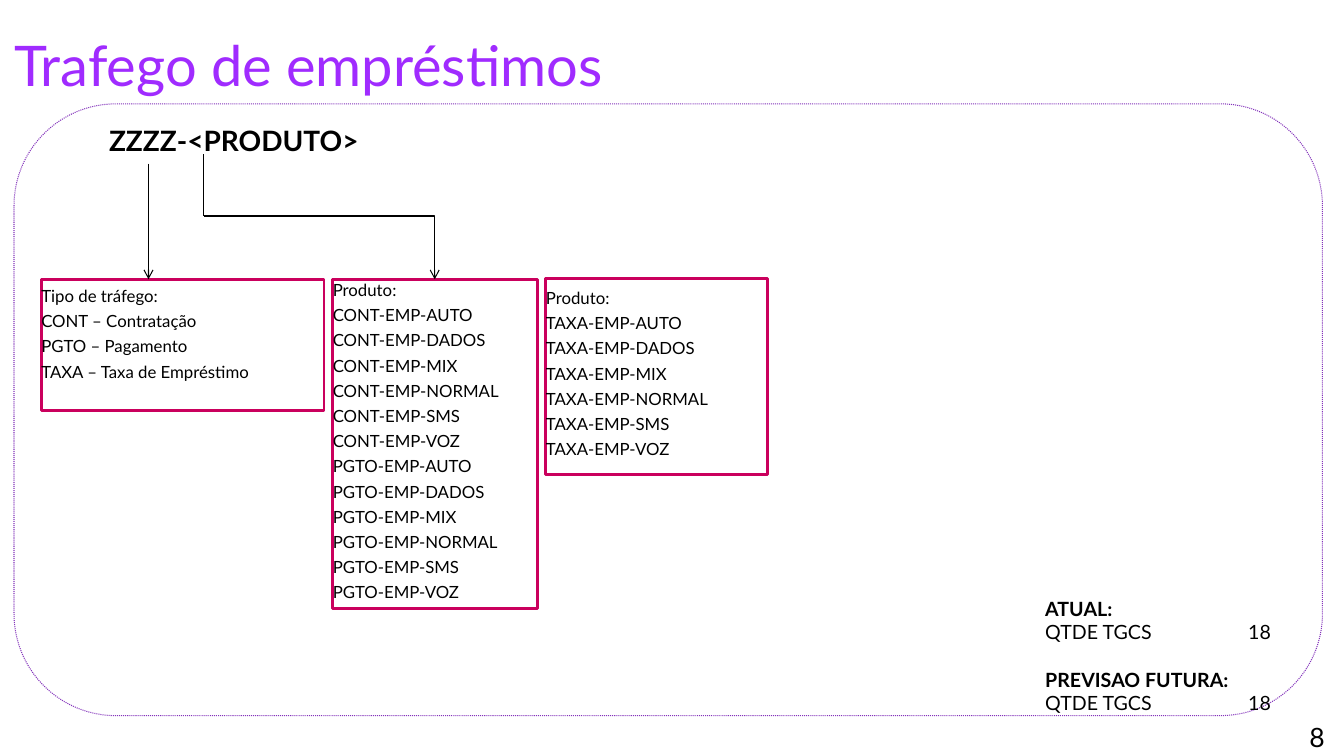
from lxml.etree import SubElement
from pptx import Presentation
from pptx.dml.color import RGBColor
from pptx.enum.dml import MSO_LINE
from pptx.enum.shapes import MSO_CONNECTOR, MSO_SHAPE
from pptx.enum.text import MSO_ANCHOR, MSO_AUTO_SIZE, PP_ALIGN
from pptx.oxml.ns import qn
from pptx.util import Pt

FONT = "Lato"
BLACK, WHITE = "000000", "FFFFFF"
TITLE_PURPLE, FRAME_PURPLE, MAGENTA = "A02BFF", "8434BB", "CA005D"
KINDS = ["AUTO", "DADOS", "MIX", "NORMAL", "SMS", "VOZ"]
TRAFFIC_TYPES = ["Tipo de tráfego:", "CONT – Contratação",
                 "PGTO – Pagamento", "TAXA – Taxa de Empréstimo"]


def color(value):
    """Turn a hex string into a colour."""
    return RGBColor.from_string(value)


def product_lines(*prefixes):
    """List every product code of the given traffic types."""
    return ["Produto:"] + [f"{prefix}-EMP-{kind}" for prefix in prefixes for kind in KINDS]


def write_lines(shape, lines, size, tint=BLACK, spacing=None, gap=0,
                anchor=MSO_ANCHOR.TOP, align=PP_ALIGN.LEFT, top_inset=0):
    """Fill a shape with evenly formatted paragraphs."""
    frame = shape.text_frame
    frame.text = "\n".join(lines)
    frame.word_wrap = True
    frame.auto_size = MSO_AUTO_SIZE.NONE
    frame.vertical_anchor = anchor
    frame.margin_left = frame.margin_right = frame.margin_bottom = 0
    frame.margin_top = Pt(top_inset)
    for index, para in enumerate(frame.paragraphs):
        para.alignment = align
        if spacing:
            para.line_spacing = Pt(spacing)
        para.space_before = Pt(gap if index else 0)
        for span in para.runs:
            span.font.name = FONT
            span.font.size = Pt(size)
            span.font.color.rgb = color(tint)
    return frame.paragraphs


def add_label(page, box, lines, size, **options):
    """Add a text box and return its paragraphs."""
    label = page.shapes.add_textbox(*map(Pt, box))
    return write_lines(label, lines, size, **options)


def add_title(page, box, text):
    """Place and format the title placeholder."""
    title = page.shapes.title
    title.left, title.top, title.width, title.height = map(Pt, box)
    write_lines(title, [text], 40, TITLE_PURPLE, spacing=56)


def add_frame(page, box):
    """Draw the dotted rounded frame."""
    frame = page.shapes.add_shape(MSO_SHAPE.ROUNDED_RECTANGLE, *map(Pt, box))
    frame.shadow.inherit = False
    frame.fill.background()
    frame.line.color.rgb = color(FRAME_PURPLE)
    frame.line.width = Pt(0.75)
    frame.line.dash_style = MSO_LINE.ROUND_DOT


def add_list_box(page, box, lines, anchor=MSO_ANCHOR.MIDDLE, top_inset=0):
    """Draw an outlined box holding a list."""
    shape = page.shapes.add_shape(MSO_SHAPE.RECTANGLE, *map(Pt, box))
    shape.shadow.inherit = False
    shape.fill.solid()
    shape.fill.fore_color.rgb = color(WHITE)
    shape.line.color.rgb = color(MAGENTA)
    shape.line.width = Pt(2)
    write_lines(shape, lines, 12, spacing=10, gap=8, anchor=anchor, top_inset=top_inset)


def add_line(page, start, end, bent=False, arrow=True):
    """Draw a thin line, optionally bent once or ending in an arrow."""
    kind = MSO_CONNECTOR.ELBOW if bent else MSO_CONNECTOR.STRAIGHT
    line = page.shapes.add_connector(kind, *map(Pt, start + end))
    line.line.color.rgb = color(BLACK)
    line.line.width = Pt(0.75)
    properties = line._element.spPr
    if bent:
        properties.find(qn("a:prstGeom")).set("prst", "bentConnector2")
    if arrow:
        SubElement(properties.find(qn("a:ln")), qn("a:tailEnd"), type="arrow")
    SubElement(properties, qn("a:effectLst"))


def add_code_diagram(page, box):
    """Show how the code splits into traffic type and product."""
    left, top, width, height = box
    code = add_label(page, (left + 48.4, top, 232, 22), ["ZZZZ-<PRODUTO>"], 20, spacing=18)
    code[0].font.bold = True
    for span in code[0].runs:
        span.font.bold = True

    list_top = top + 105.2
    add_list_box(page, (left, list_top, 202, 93.6), TRAFFIC_TYPES, MSO_ANCHOR.TOP, 9)
    add_list_box(page, (left + 208.2, list_top, 146.4, height - 105.2),
                 product_lines("CONT", "PGTO"))
    add_list_box(page, (left + 360.4, list_top - 0.5, 158.6, 139.8), product_lines("TAXA"))

    type_x, product_x, bend_y = left + 76.6, left + 116, top + 60
    add_line(page, (type_x, top + 22.6), (type_x, list_top))
    add_line(page, (product_x, top + 16), (product_x, bend_y), arrow=False)
    add_line(page, (product_x, bend_y), (left + 281, list_top), bent=True)


def add_totals(page, box):
    """List the current and the forecast quantities."""
    quantity = "QTDE TGCS\t18"
    paras = add_label(page, box, ["ATUAL:", quantity, "PREVISAO FUTURA:", quantity], 14)
    paras[2].space_before = Pt(17)
    for heading, value in (paras[:2], paras[2:]):
        for span in heading.runs:
            span.font.bold = True
        stops = SubElement(value._p.get_or_add_pPr(), qn("a:tabLst"))
        SubElement(stops, qn("a:tab"), pos=str(Pt(145)), algn="l")


def build_traffic_slide(deck):
    """Build the loan traffic slide."""
    page = deck.slides.add_slide(deck.slide_layouts[5])
    add_title(page, (10, 13.7, 934.6, 69), "Trafego de empréstimos")
    add_frame(page, (10, 74.2, 934.6, 437))
    add_label(page, (924.5, 511.2, 32.4, 28.8), ["8"], 19,
              align=PP_ALIGN.CENTER, top_inset=3.6)
    add_code_diagram(page, (29.5, 94.3, 519, 340.6))
    add_totals(page, (746.6, 426.2, 170, 84.2))


def main():
    """Create and save the deck."""
    deck = Presentation()
    deck.slide_width, deck.slide_height = Pt(960), Pt(540)
    build_traffic_slide(deck)
    deck.save("out.pptx")


if __name__ == "__main__":
    main()
